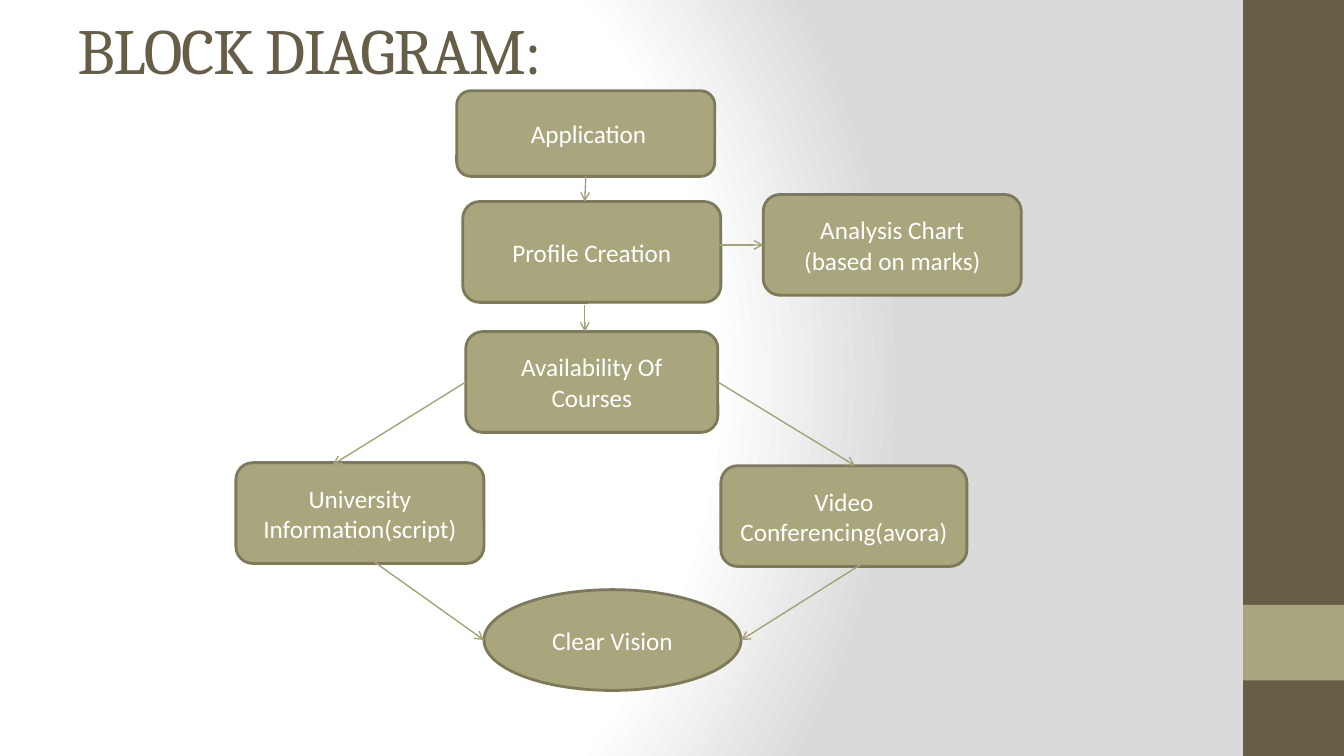
from lxml import etree
from pptx import Presentation
from pptx import util as u
from pptx.dml.color import RGBColor
from pptx.enum import shapes, text
from pptx.oxml import parse_xml
from pptx.oxml.ns import nsdecls, qn

BROWN, OLIVE, EDGE, ARROW, WHITE = "675E47", "A9A57C", "7D7A5C", "A6A278", "FFFFFF"
ROUND = shapes.MSO_SHAPE.ROUNDED_RECTANGLE
BOXES = {
    "application": (" Application", 4.53, 0.9, 2.56, 0.85, ROUND),
    "profile": ("Profile Creation", 4.59, 2, 2.56, 1, ROUND),
    "analysis": ("Analysis Chart\n(based on marks)", 7.57, 1.93, 2.56, 1, ROUND),
    "courses": ("Availability Of Courses", 4.62, 3.29, 2.5, 1, ROUND),
    "university": ("University Information(script)", 2.34, 4.59, 2.46, 1, ROUND),
    "video": ("Video Conferencing(avora)", 7.15, 4.62, 2.44, 1, ROUND),
    "vision": ("Clear Vision", 4.8, 5.85, 2.55, 1, shapes.MSO_SHAPE.OVAL),
}
ARROWS = [
    ((5.81, 1.75), (5.8, 2), ("application", 2), None),
    ((5.8, 3.03), (5.8, 3.29), None, None),
    ((7.13, 2.43), (7.57, 2.43), None, ("analysis", 1)),
    ((7.12, 3.79), (8.48, 4.62), ("courses", 3), None),
    ((3.37, 5.33), (4.8, 6.35), None, None),
    ((8.65, 5.53), (7.35, 6.35), None, None),
    ((4.62, 3.79), (3.3, 4.61), ("courses", 1), None),
]


def color(value):
    """Turn a hex string into a colour."""
    return RGBColor.from_string(value)


def set_background(s):
    """Fill the slide with a circular white to grey gradient."""
    s.background.fill.solid()
    stops = "".join(
        f'<a:gs pos="{pos}"><a:srgbClr val="{value}"/></a:gs>'
        for pos, value in ((0, WHITE), (75000, WHITE), (100000, "DADADA")))
    solid = next(s.element.iter(qn("a:solidFill")))
    solid.getparent().replace(solid, parse_xml(
        f'<a:gradFill {nsdecls("a")} rotWithShape="1"><a:gsLst>{stops}</a:gsLst>'
        '<a:path path="circle"><a:fillToRect l="20000" t="50000" r="100000" b="50000"/>'
        '</a:path></a:gradFill>'))


def write(sp, words, size=18, font="Calibri", fill=WHITE,
          align=text.PP_ALIGN.CENTER, spacing=0):
    """Write formatted paragraphs, vertically centred, in a shape."""
    tf = sp.text_frame
    tf.word_wrap = True
    tf.vertical_anchor = text.MSO_ANCHOR.MIDDLE
    for i, line in enumerate(words.split("\n")):
        p = tf.add_paragraph() if i else tf.paragraphs[0]
        p.alignment = align
        r = p.add_run()
        r.text = line
        r.font.size = u.Pt(size)
        r.font.name = font
        r.font.color.rgb = color(fill)
        if spacing:
            r.font._element.set("spc", str(spacing * 100))


def add_block(s, kind, left, top, width, height, fill, line=None):
    """Add a filled preset shape with an optional outline."""
    sp = s.shapes.add_shape(kind, *map(u.Inches, (left, top, width, height)))
    sp.shadow.inherit = False
    sp.fill.solid()
    sp.fill.fore_color.rgb = color(fill)
    if line:
        sp.line.color.rgb = color(line)
        sp.line.width = u.Pt(2)
    else:
        sp.line.fill.background()
    return sp


def add_arrow(s, start, end):
    """Add a thin straight arrow between two points."""
    cxn = s.shapes.add_connector(
        shapes.MSO_CONNECTOR.STRAIGHT, *map(u.Inches, (*start, *end)))
    cxn.line.color.rgb = color(ARROW)
    cxn.line.width = u.Pt(1)
    etree.SubElement(cxn.line._get_or_add_ln(), qn("a:tailEnd"), type="arrow")
    etree.SubElement(cxn._element.spPr, qn("a:effectLst"))
    return cxn


def main():
    """Build the block diagram slide."""
    prs = Presentation()
    prs.slide_width, prs.slide_height = u.Inches(13.33), u.Inches(7.5)
    s = prs.slides.add_slide(prs.slide_layouts[6])
    set_background(s)
    for top, height, fill in ((0, 7.5, BROWN), (6, 0.75, OLIVE)):
        add_block(s, shapes.MSO_SHAPE.RECTANGLE, 12.33, top, 1, height, fill)
    title = s.shapes.add_textbox(*map(u.Inches, (0.67, 0.3, 11.11, 0.37)))
    write(title, "BLOCK DIAGRAM:", size=46, font="Cambria", fill=BROWN,
          align=text.PP_ALIGN.LEFT, spacing=-1)
    blocks = {}
    for name, (words, left, top, width, height, kind) in BOXES.items():
        blocks[name] = add_block(s, kind, left, top, width, height, OLIVE, EDGE)
        write(blocks[name], words)
    for start, end, source, target in ARROWS:
        cxn = add_arrow(s, start, end)
        if source:
            cxn.begin_connect(blocks[source[0]], source[1])
        if target:
            cxn.end_connect(blocks[target[0]], target[1])
    prs.save("out.pptx")


if __name__ == "__main__":
    main()
